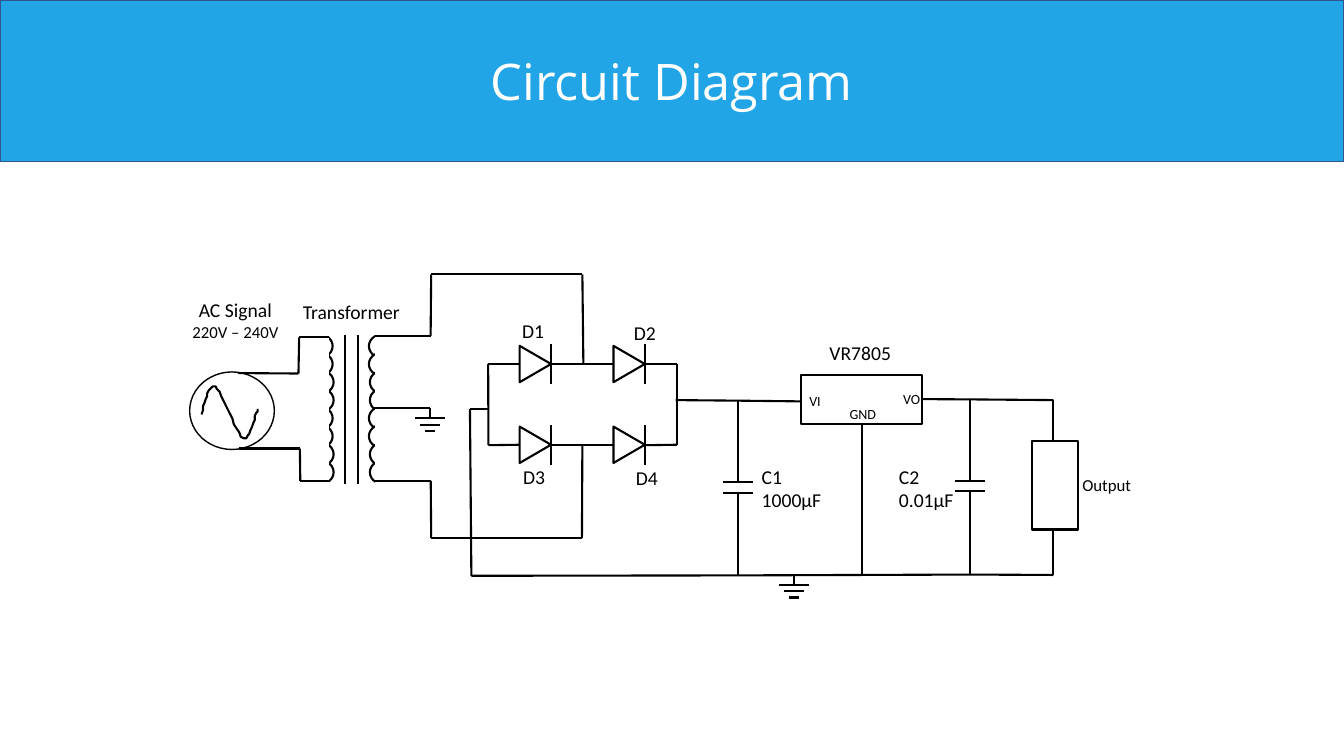
"""Build the Circuit Diagram slide: a transformer, bridge rectifier and regulator supply."""
from itertools import pairwise, product

from lxml import etree
from pptx import Presentation
from pptx.dml.color import RGBColor
from pptx.enum import shapes, text
from pptx.oxml import ns
from pptx.util import Pt

SHAPE = shapes.MSO_SHAPE
INK, PAPER = "000000", "FFFFFF"


def style(item, **formats):
    for name, value in formats.items():
        if name == "fill":
            item.fill.solid()
            item.fill.fore_color.rgb = RGBColor.from_string(value)
        elif name == "line":
            item.line.color.rgb = RGBColor.from_string(value[0])
            item.line.width = Pt(value[1])
        elif name == "color":
            item.color.rgb = RGBColor.from_string(value)
        else:
            setattr(item, name, value)


def block(preset, left, top, width, height, fill=PAPER, line=(INK, 1.5)):
    part = slide.shapes.add_shape(preset, Pt(left), Pt(top), Pt(width), Pt(height))
    part.shadow.inherit = False
    style(part, fill=fill, line=line)
    return part


deck = Presentation()
style(deck, slide_width=Pt(960), slide_height=Pt(540))
slide = deck.slides.add_slide(deck.slide_layouts[6])

block(SHAPE.OVAL, 135.5, 265.7, 60.5, 55.4, line=(INK, 1))
sine_curves = [
    [(144, 296), (147, 284.5), (149, 273.5), (154, 276.5)],
    [(154, 276.5), (159, 279.5), (168.5, 310), (173.5, 313)],
    [(173.5, 313), (178.5, 315.5), (182, 296), (184.3, 292.3)],
]
sine_points = []
for curve in sine_curves:
    for step in range(13):
        t = step / 12
        weights = [(1 - t) ** 3, 3 * t * (1 - t) ** 2, 3 * t * t * (1 - t), t ** 3]
        sine_points.append([sum(w * point[axis] for w, point in zip(weights, curve)) for axis in (0, 1)])
sine_builder = slide.shapes.build_freeform(*sine_points[0], scale=Pt(1))
sine_builder.add_line_segments(sine_points[1:], close=False)
sine = sine_builder.convert_to_shape()
sine.shadow.inherit = False
sine.fill.background()
style(sine, line=(INK, 1.5))

for coil_left, turn in product((219.6, 263.5), range(8)):
    nudge = 0.7 if turn % 4 > 1 else 0
    block(SHAPE.OVAL, coil_left + nudge, 239 + 12.87 * turn, 18, 16.5)
for cover_left in (217.5, 268.6):
    block(SHAPE.RECTANGLE, cover_left, 236.2, 17.3, 111, line=(PAPER, 1))

for diode_left, diode_y in product((371.2, 438.2), (260, 317.7)):
    diode = block(SHAPE.ISOSCELES_TRIANGLE, diode_left - 1.8, diode_y - 11.2, 26, 22.4)
    diode.rotation = 90
block(SHAPE.RECTANGLE, 572, 267.8, 86.8, 35)
block(SHAPE.RECTANGLE, 737, 315.2, 33, 63)

wires = [
    [(170, 266.5), (213.2, 266.8), (213.7, 241), (235, 241)],
    [(170.5, 320.4), (214.2, 320.4), (214.5, 343.5), (236, 343.5)],
    [(246.2, 239), (246.2, 345.6)],
    [(255.6, 239), (255.6, 345.6)],
    [(268, 240), (307.6, 240), (308, 196), (416, 196), (416.7, 260)],
    [(268, 343.5), (307.7, 343.5), (308, 384.4), (415.7, 384.4), (416, 317.7)],
    [(267, 291.6), (307.4, 291.6), (307.4, 298.8)],
    [(371.2, 260), (348.7, 260), (348.9, 318), (371.2, 317.7)],
    [(460.8, 260), (483.4, 260), (483.4, 317.7), (460.8, 318)],
    [(348.7, 292.3), (335.7, 292.3), (336.7, 411.3), (527, 411), (693, 410.4), (752.4, 410.7)],
    [(482.6, 285.8), (527.2, 286.2), (572, 286.7)],
    [(658.8, 285.1), (692.8, 285.3), (752.4, 285.8), (752.4, 315.2)],
    [(752.4, 378.2), (752.4, 410.7)],
    [(615.6, 303), (615.6, 410.8)],
    [(567.4, 410.6), (567.4, 417.6)],
]
for row_y in (260, 317.7):
    wires.append([(393.4, row_y), (438.4, row_y)])
    for bar_x in (393.7, 460.8):
        wires.append([(bar_x, row_y - 14.2), (bar_x, row_y + 14.2)])
for capacitor_x, plate_y, plate_gap in ((527.2, 344, 8), (693, 343.5, 7.2)):
    wires.append([(capacitor_x, 285.8), (capacitor_x, plate_y)])
    wires.append([(capacitor_x, plate_y + plate_gap), (capacitor_x, 410.8)])
    for y in (plate_y, plate_y + plate_gap):
        wires.append([(capacitor_x - 10.8, y), (capacitor_x + 10.8, y)])
for (ground_x, ground_y), bar in product(((307.4, 298.8), (567.4, 417.8)), range(3)):
    half, y = 10.8 - 3.6 * bar, ground_y + 4.5 * bar
    wires.append([(ground_x - half, y), (ground_x + half, y)])

for wire in wires:
    for start, end in pairwise(wire):
        ends = [Pt(length) for length in (*start, *end)]
        segment = slide.shapes.add_connector(shapes.MSO_CONNECTOR.STRAIGHT, *ends)
        style(segment, line=(INK, 1.5))
        etree.SubElement(segment._element.spPr, ns.qn("a:effectLst"))

labels = [
    (122.4, 209.5, 91.5, 39, True, "c", [("AC Signal", 14), ("220V – 240V", 12)]),
    (198, 211, 106, 24.5, True, "c", [("Transformer", 14)]),
    (365.8, 224.6, 30.2, 24.5, False, "l", [("D1", 14)]),
    (445.7, 225.4, 30.2, 24.5, False, "l", [("D2", 14)]),
    (366.5, 328.6, 30.2, 24.5, False, "l", [("D3", 14)]),
    (447.1, 329.2, 30.2, 24.5, False, "l", [("D4", 14)]),
    (537, 328.4, 59, 41, True, "l", [("C1", 14), ("1000µF", 14)]),
    (635, 328.4, 54, 41, False, "l", [("C2", 14), ("0.01µF", 14)]),
    (571, 276.5, 23, 19.4, False, "l", [("VI", 10)]),
    (638, 275.2, 26.6, 19.4, False, "l", [("VO", 10)]),
    (599.8, 286, 33.8, 19.4, False, "l", [("GND", 10)]),
    (585.4, 240, 61.2, 24.5, False, "l", [("VR7805", 14)]),
    (766, 335.7, 49.7, 21.8, True, "l", [("Output", 12)]),
]
alignments = {"c": text.PP_ALIGN.CENTER, "l": text.PP_ALIGN.LEFT}
for left, top, width, height, wrap, side, rows in labels:
    frame = slide.shapes.add_textbox(Pt(left), Pt(top), Pt(width), Pt(height)).text_frame
    style(frame, word_wrap=wrap, auto_size=text.MSO_AUTO_SIZE.SHAPE_TO_FIT_TEXT)
    frame.text = "\n".join(words for words, size in rows)
    for paragraph, (words, size) in zip(frame.paragraphs, rows):
        paragraph.alignment = alignments[side]
        style(paragraph.runs[0].font, name="Calibri", size=Pt(size), color=INK)

banner = block(SHAPE.RECTANGLE, 0, 0, 960, 115.2, fill="21A5E7", line=("325491", 1))
banner.text_frame.text = "Circuit Diagram"
banner.text_frame.vertical_anchor = text.MSO_ANCHOR.MIDDLE
title = banner.text_frame.paragraphs[0]
title.alignment = text.PP_ALIGN.CENTER
style(title.runs[0].font, name="Open Sans", size=Pt(36), color=PAPER)

deck.save("out.pptx")
